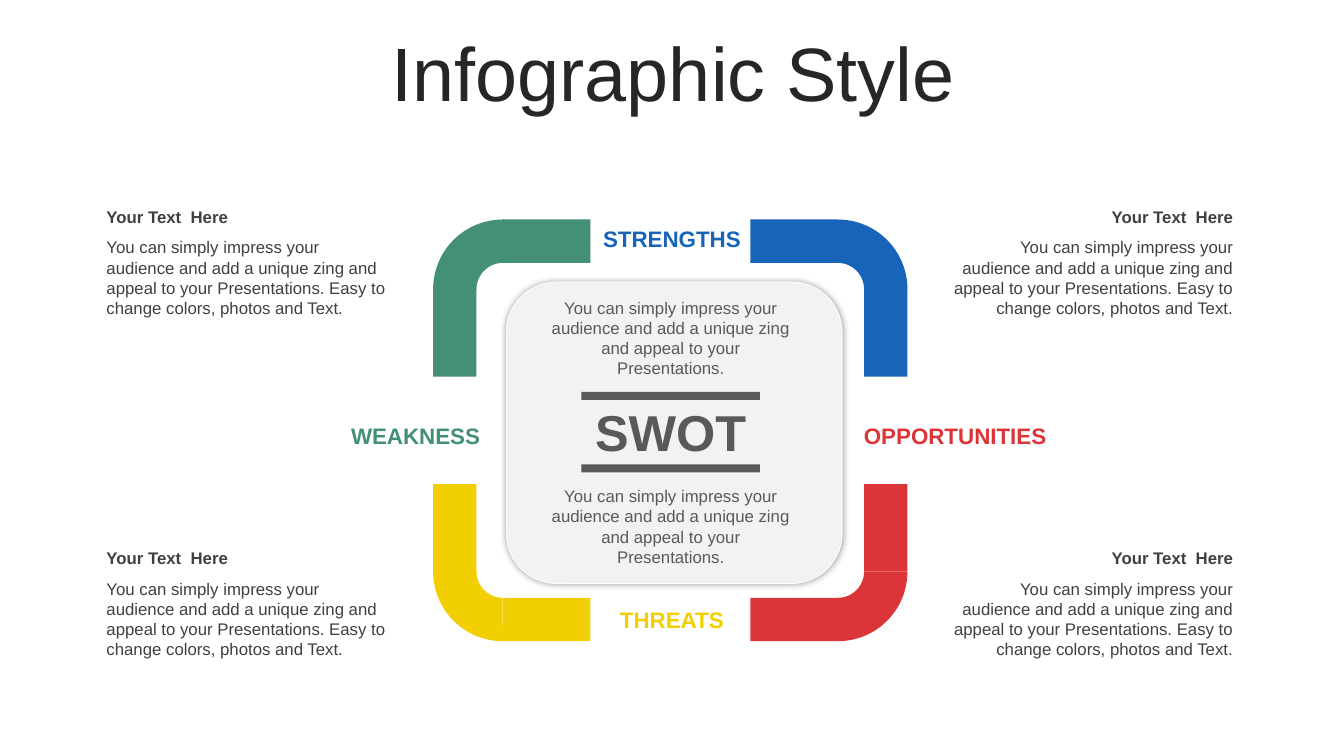
from dataclasses import dataclass
from itertools import product

from lxml.etree import SubElement
from pptx import Presentation
from pptx.dml.color import RGBColor
from pptx.enum.shapes import MSO_SHAPE
from pptx.enum.text import MSO_ANCHOR, MSO_AUTO_SIZE, PP_ALIGN
from pptx.oxml.ns import qn
from pptx.shapes.autoshape import Shape
from pptx.util import Pt

COLORS = {
    "title": "262626", "heading": "404040", "center": "595959",
    "panel": "F2F2F2", "white": "FFFFFF", "shadow": "000000",
    "green": "449074", "blue": "1764B9", "yellow": "F1CF01", "red": "DC3539",
}
FONT = "Arial"
HEADING = "Your Text  Here"
SUMMARY = ("You can simply impress your audience and add a unique zing "
           "and appeal to your Presentations.")
DETAIL = SUMMARY + " Easy to change colors, photos and Text."

RING_LEFT, RING_TOP, RING_RIGHT, RING_BOTTOM = 309.4, 156.8, 648.2, 458
ARC_SIZE, BAND, ARM = 99.5, 31, 62.5


@dataclass(frozen=True)
class Box:
    left: float
    top: float
    width: float
    height: float

    def lengths(self) -> tuple:
        return Pt(self.left), Pt(self.top), Pt(self.width), Pt(self.height)


@dataclass(frozen=True)
class Label:
    text: str
    box: Box
    size: float
    color: str
    bold: bool = False
    align: PP_ALIGN = PP_ALIGN.CENTER


@dataclass(frozen=True)
class Corner:
    color: str
    rotation: int
    is_left: bool
    is_top: bool


CORNERS = [
    Corner("green", 0, True, True),
    Corner("blue", 90, False, True),
    Corner("red", 180, False, False),
    Corner("yellow", 270, True, False),
]
LABELS = [
    Label("STRENGTHS", Box(404.7, 157, 150.5, 26.6), 16, "blue", True),
    Label("OPPORTUNITIES", Box(607, 297.7, 150.5, 26.6), 16, "red", True),
    Label("WEAKNESS", Box(221.6, 297.7, 150.5, 26.6), 16, "green", True),
    Label("THREATS", Box(404.7, 429.5, 150.5, 26.6), 16, "yellow", True),
    Label("SWOT", Box(408.8, 283, 140.4, 51), 36, "center", True),
    Label(SUMMARY, Box(385.2, 208.8, 188, 65.5), 12, "center"),
    Label(SUMMARY, Box(385.2, 343.6, 188, 65.5), 12, "center"),
]


def add_label(slide, label: Label) -> None:
    frame = slide.shapes.add_textbox(*label.box.lengths()).text_frame
    frame.word_wrap = True
    frame.auto_size = MSO_AUTO_SIZE.SHAPE_TO_FIT_TEXT
    paragraph = frame.paragraphs[0]
    paragraph.text = label.text
    paragraph.alignment = label.align
    paragraph.font.name = FONT
    paragraph.font.size = Pt(label.size)
    paragraph.font.bold = label.bold
    paragraph.font.color.rgb = RGBColor.from_string(COLORS[label.color])


def add_filled(shapes, kind: MSO_SHAPE, box: Box, color: str) -> Shape:
    shape = shapes.add_shape(kind, *box.lengths())
    shape.shadow.inherit = False
    shape.fill.solid()
    shape.fill.fore_color.rgb = RGBColor.from_string(COLORS[color])
    shape.line.fill.background()
    return shape


def add_corner(slide, corner: Corner) -> None:
    """Group a quarter arc with the two straight arms that leave it."""
    shapes = slide.shapes.add_group_shape().shapes
    left = RING_LEFT if corner.is_left else RING_RIGHT - ARC_SIZE
    top = RING_TOP if corner.is_top else RING_BOTTOM - ARC_SIZE
    middle_x, middle_y = left + ARC_SIZE / 2, top + ARC_SIZE / 2

    arc = add_filled(shapes, MSO_SHAPE.BLOCK_ARC,
                     Box(left, top, ARC_SIZE, ARC_SIZE), corner.color)
    # Arc angles are in units of 100000 / 60000 degrees
    arc.adjustments[0] = 108
    arc.adjustments[1] = 162.5
    arc.adjustments[2] = BAND / ARC_SIZE
    arc.rotation = corner.rotation

    across = Box(middle_x if corner.is_left else middle_x - ARM,
                 RING_TOP if corner.is_top else RING_BOTTOM - BAND, ARM, BAND)
    down = Box(RING_LEFT if corner.is_left else RING_RIGHT - BAND,
               middle_y if corner.is_top else middle_y - ARM, BAND, ARM)
    for arm in (across, down):
        add_filled(shapes, MSO_SHAPE.RECTANGLE, arm, corner.color)


def add_panel(slide) -> None:
    panel = add_filled(slide.shapes, MSO_SHAPE.ROUNDED_RECTANGLE,
                       Box(361.6, 201.4, 240, 215.5), "panel")
    panel.line.color.rgb = RGBColor.from_string(COLORS["white"])
    panel.line.width = Pt(0.5)
    effects = panel.element.spPr.find(qn("a:effectLst"))
    shadow = SubElement(effects, qn("a:outerShdw"), blurRad=str(Pt(5)),
                        dist="0", dir="0", algn="ctr", rotWithShape="0")
    color = SubElement(shadow, qn("a:srgbClr"), val=COLORS["shadow"])
    SubElement(color, qn("a:alpha"), val="40000")


def add_title(slide) -> None:
    title = slide.shapes.title
    title.left, title.top, title.width, title.height = Box(25.2, 26.6, 911.5, 57).lengths()
    frame = title.text_frame
    frame.auto_size = MSO_AUTO_SIZE.NONE
    frame.vertical_anchor = MSO_ANCHOR.MIDDLE
    paragraph = frame.paragraphs[0]
    paragraph.text = "Infographic Style"
    paragraph.alignment = PP_ALIGN.CENTER
    paragraph.line_spacing = 0.9
    paragraph.font.name = FONT
    paragraph.font.size = Pt(54)
    paragraph.font.color.rgb = RGBColor.from_string(COLORS["title"])


def main() -> None:
    presentation = Presentation()
    presentation.slide_width, presentation.slide_height = Pt(960), Pt(540)
    slide = presentation.slides.add_slide(presentation.slide_layouts[5])

    add_title(slide)
    add_panel(slide)
    for corner in CORNERS:
        add_corner(slide, corner)
    for rule_top in (280, 331.8):
        add_filled(slide.shapes, MSO_SHAPE.RECTANGLE,
                   Box(415.2, rule_top, 127.6, 5.6), "center")
    for label in LABELS:
        add_label(slide, label)

    sides = ((69, PP_ALIGN.LEFT), (672, PP_ALIGN.RIGHT))
    for (left, align), top in product(sides, (144, 388)):
        add_label(slide, Label(HEADING, Box(left, top, 216, 21.8), 12,
                               "heading", True, align))
        add_label(slide, Label(DETAIL, Box(left, top + 21.8, 216, 65.5), 12,
                               "heading", False, align))

    presentation.save("out.pptx")


if __name__ == "__main__":
    main()
